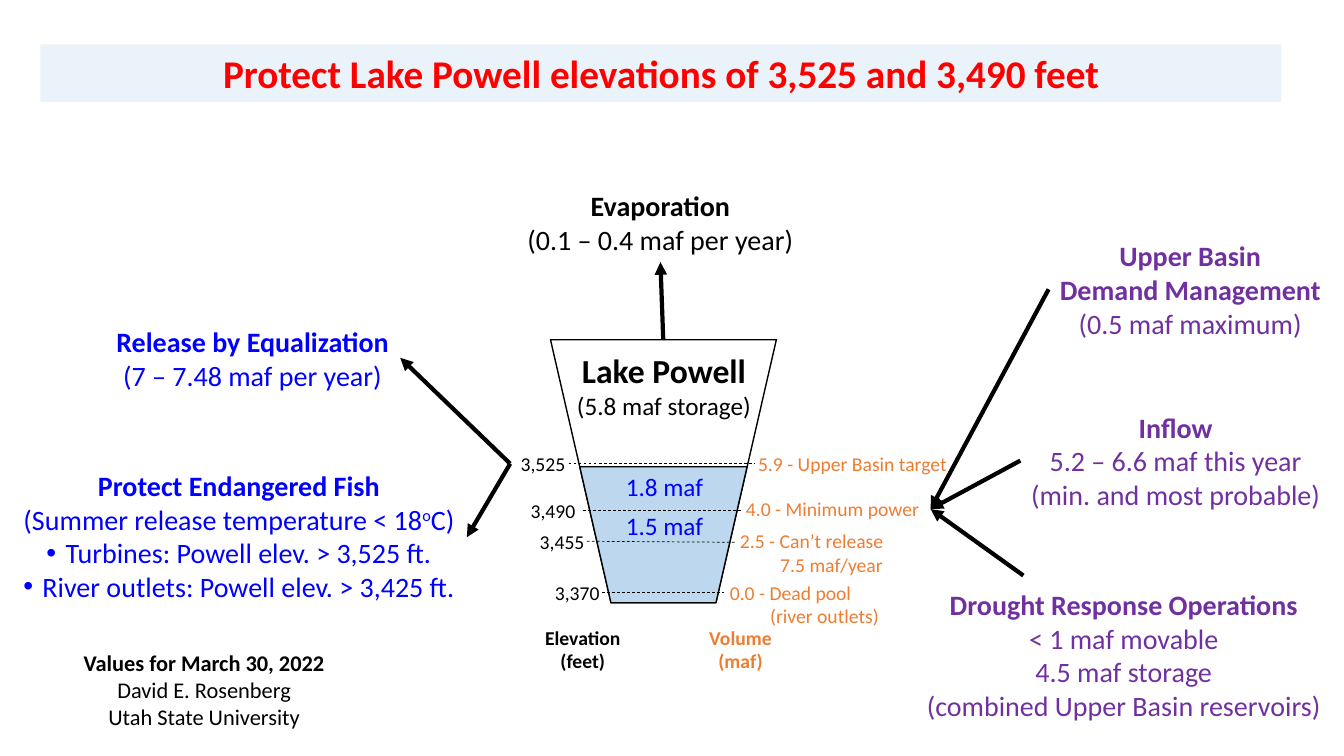
from lxml import etree
from pptx import Presentation
from pptx.dml.color import RGBColor
from pptx.enum import dml, shapes, text
from pptx.oxml.ns import qn
from pptx.util import Inches, Pt

BLACK, BLUE, PURPLE, ORANGE = "000000", "0000FF", "7030A0", "ED7D31"
LEFT, CENTER = text.PP_ALIGN.LEFT, text.PP_ALIGN.CENTER


def rgb(value):
    """Turn a hex string into a colour."""
    return RGBColor.from_string(value)


def add_run(p, words, size, color, bold=False):
    """Add one formatted run to a paragraph."""
    r = p.add_run()
    r.text = words
    f = r.font
    f.name, f.size, f.bold = "Calibri", Pt(size), bold
    f.color.rgb = rgb(color)
    return r


def set_indent(p, left, first=0, bullet=None):
    """Indent a paragraph and optionally give it a bullet."""
    pPr = p._p.get_or_add_pPr()
    pPr.set("marL", str(Inches(left)))
    pPr.set("indent", str(Inches(first)))
    if bullet:
        etree.SubElement(pPr, qn("a:buFont")).set("typeface", "Arial")
        etree.SubElement(pPr, qn("a:buChar")).set("char", bullet)


def add_text(s, box, lines, size, color, bold_first=False, align=CENTER, wrap=True):
    """Add a text box with one paragraph per line and return its paragraphs."""
    tf = s.shapes.add_textbox(*map(Inches, box)).text_frame
    tf.word_wrap = wrap
    for i, line in enumerate(lines):
        p = tf.paragraphs[0] if i == 0 else tf.add_paragraph()
        p.alignment = align
        add_run(p, line, size, color, bold_first and i == 0)
    return tf.paragraphs


def add_block(s, kind, box, fill, line=None):
    """Add a filled preset shape."""
    sp = s.shapes.add_shape(kind, *map(Inches, box))
    sp.shadow.inherit = False
    sp.fill.solid()
    sp.fill.fore_color.rgb = rgb(fill)
    if line:
        sp.line.color.rgb = rgb(line)
        sp.line.width = Pt(1)
    else:
        sp.line.fill.background()
    return sp


def add_bucket(s, box, fill, slope):
    """Add a trapezoid that narrows downwards."""
    sp = add_block(s, shapes.MSO_SHAPE.TRAPEZOID, box, fill, BLACK)
    sp.adjustments[0] = slope
    sp.rotation = 180


def add_line(s, start, end, width=3, arrow=True):
    """Add a solid arrow or a thin dashed line."""
    c = s.shapes.add_connector(shapes.MSO_CONNECTOR.STRAIGHT, *map(Inches, start + end))
    c.line.color.rgb = rgb(BLACK)
    c.line.width = Pt(width)
    if arrow:
        etree.SubElement(c.line._get_or_add_ln(), qn("a:tailEnd")).set("type", "triangle")
    else:
        c.line.dash_style = dml.MSO_LINE.DASH
    etree.SubElement(c._element.spPr, qn("a:effectLst"))


def add_level(s, elevation, label_at, line, volume, volume_box):
    """Add a reservoir level: elevation, dashed line and volume."""
    add_line(s, *line, width=0.5, arrow=False)
    add_text(s, label_at + (0.65, 0.34), [elevation], 14, BLACK, wrap=False)
    paragraphs = add_text(s, volume_box, volume, 14, ORANGE, align=LEFT)
    for p in paragraphs[1:]:
        set_indent(p, 0.4)


def add_title(s):
    """Add the title band."""
    sp = add_block(s, shapes.MSO_SHAPE.RECTANGLE, (0.4, 0.44, 12.31, 0.57), "EAF2FA")
    p = sp.text_frame.paragraphs[0]
    p.alignment = CENTER
    add_run(p, "Protect Lake Powell elevations of 3,525 and 3,490 feet", 28, "FF0000", True)


def add_flows(s):
    """Add the inflow and outflow descriptions with their arrows."""
    flows = [
        ((10.4, 2.32, 2.81, 1.11), PURPLE, ["Upper Basin", "Demand Management", "(0.5 maf maximum)"]),
        ((10.12, 4.02, 3.08, 1.11), PURPLE,
         ["Inflow", "5.2 – 6.6 maf this year", "(min. and most probable)"]),
        ((9.05, 5.78, 4.19, 1.45), PURPLE,
         ["Drought Response Operations", "< 1 maf movable", "4.5 maf storage",
          "(combined Upper Basin reservoirs)"]),
        ((5.12, 1.82, 2.86, 0.77), BLACK, ["Evaporation", "(0.1 – 0.4 maf per year)"]),
        ((1.04, 3.17, 2.93, 0.77), BLUE, ["Release by Equalization", "(7 – 7.48 maf per year)"]),
    ]
    for box, color, lines in flows:
        paragraphs = add_text(s, box, lines, 20, color, True, wrap=False)
        if lines[0] == "Upper Basin":
            paragraphs[1].runs[0].font.bold = True

    fish = add_text(s, (0.12, 4.6, 4.5, 1.45),
                    ["Protect Endangered Fish", "(Summer release temperature < 18",
                     "Turbines: Powell elev. > 3,525 ft.", "River outlets: Powell elev. > 3,425 ft."],
                    20, BLUE, True)
    degree = add_run(fish[1], "o", 20, BLUE)
    degree.font._element.set("baseline", "30000")
    add_run(fish[1], "C)", 20, BLUE)
    for p in fish[2:]:
        set_indent(p, 0.19, -0.19, "•")

    inlet, outlet = (9.23, 5.05), (5.06, 4.6)
    for source in [(10.4, 2.87), (10.12, 4.57), (10.15, 5.71)]:
        add_line(s, source, inlet)
    for target in [(3.97, 3.55), (4.63, 5.33)]:
        add_line(s, outlet, target)
    add_line(s, (6.58, 3.42), (6.55, 2.6))


def add_reservoir(s):
    """Add the reservoir with its levels, volumes and column labels."""
    add_bucket(s, (5.46, 3.37, 2.24, 2.61), "FFFFFF", 0.268)
    add_bucket(s, (5.75, 4.63, 1.66, 1.35), "BDD7EE", 0.229)
    levels = [
        ("3,525", (5.06, 4.43), ((5.64, 4.6), (7.48, 4.6)),
         ["5.9 - Upper Basin target"], (7.42, 4.43, 2.14, 0.34)),
        ("3,490", (5.16, 4.9), ((5.78, 5.06), (7.35, 5.06)),
         ["4.0 - Minimum power"], (7.3, 4.88, 1.93, 0.34)),
        ("3,455", (5.25, 5.21), ((5.82, 5.37), (7.3, 5.38)),
         ["2.5 - Can’t release", "7.5 maf/year"], (7.24, 5.2, 1.72, 0.57)),
        ("3,370", (5.4, 5.71), ((5.97, 5.88), (7.18, 5.88)),
         ["0.0 - Dead pool", "(river outlets)"], (7.14, 5.71, 1.72, 0.57)),
    ]
    for level in levels:
        add_level(s, *level)

    name = add_text(s, (5.61, 3.42, 1.95, 0.81), ["Lake Powell", "(5.8 maf storage)"],
                    24, BLACK, True, wrap=False)
    name[1].runs[0].font.size = Pt(18)
    for left, width, label, unit, color in [(5.3, 0.96, "Elevation", "(feet)", BLACK),
                                            (6.93, 0.83, "Volume", "(maf)", ORANGE)]:
        for p in add_text(s, (left, 6.16, width, 0.57), [label, unit], 14, color, wrap=False):
            p.runs[0].font.bold = True
    for top, volume in [(4.63, "1.8 maf"), (5.01, "1.5 maf")]:
        add_text(s, (6.1, top, 0.98, 0.4), [volume], 18, BLUE, wrap=False)


def main():
    """Build and save the slide."""
    prs = Presentation()
    prs.slide_width, prs.slide_height = Inches(13.33), Inches(7.5)
    s = prs.slides.add_slide(prs.slide_layouts[6])
    add_title(s)
    add_flows(s)
    add_reservoir(s)
    add_text(s, (0.56, 6.39, 2.93, 0.91),
             ["Values for March 30, 2022", "David E. Rosenberg", "Utah State University"],
             16, BLACK, True)
    prs.save("out.pptx")


main()
